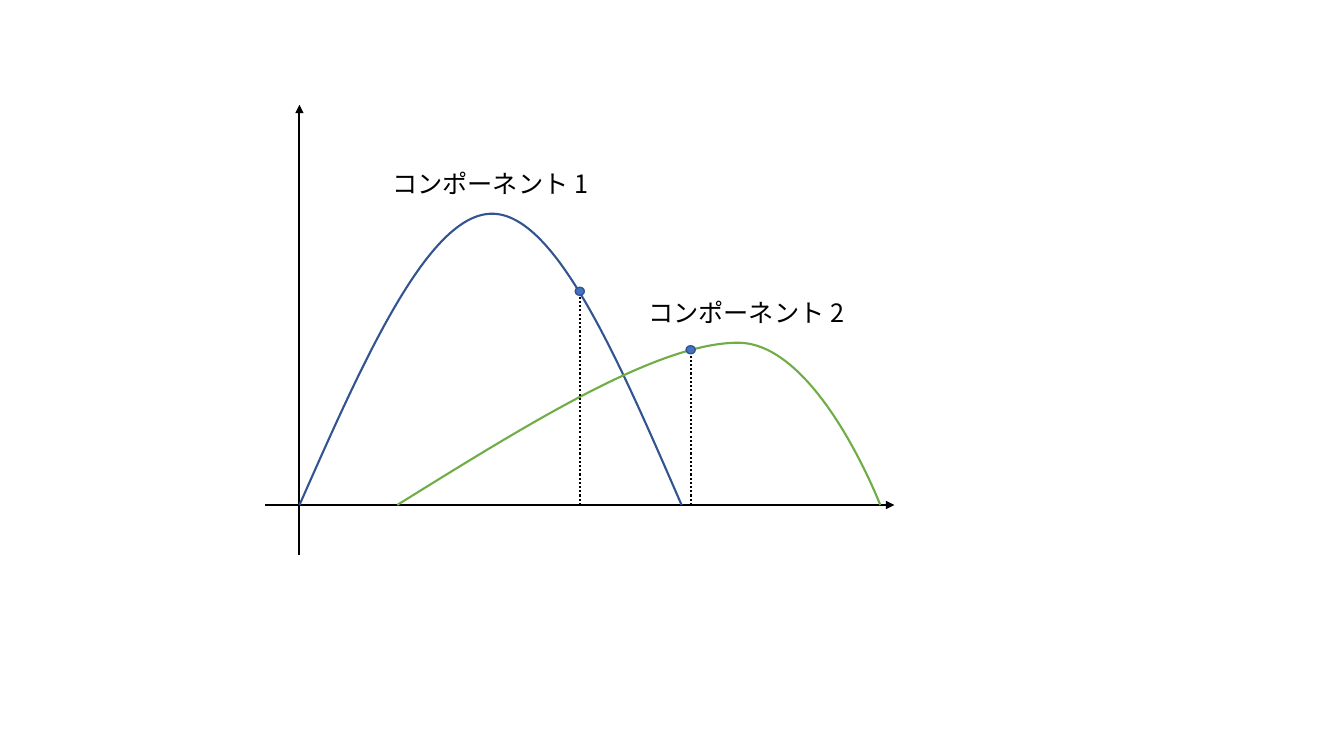
from lxml.etree import SubElement
from pptx import Presentation
from pptx.dml.color import RGBColor
from pptx.enum.dml import MSO_LINE
from pptx.enum.shapes import MSO_CONNECTOR, MSO_SHAPE
from pptx.oxml.ns import qn
from pptx.util import Inches, Pt

BLACK = RGBColor(0x00, 0x00, 0x00)
BLUE = RGBColor(0x44, 0x72, 0xC4)
NAVY = RGBColor(0x32, 0x54, 0x91)
GREEN = RGBColor(0x70, 0xAD, 0x47)
BASELINE = 5.01
ORIGIN_X = 2.97


class DiagramPage:
    font_name = "Noto Sans CJK JP"
    font_size = Pt(18)
    line_width = Pt(1.5)

    def __init__(self, deck):
        self.page = deck.slides.add_slide(deck.slide_layouts[6])

    def line(self, start, end, arrow=False, dotted=False):
        connector = self.page.shapes.add_connector(
            MSO_CONNECTOR.STRAIGHT, *map(Inches, start + end)
        )
        connector.line.color.rgb = BLACK
        connector.line.width = self.line_width
        if dotted:
            connector.line.dash_style = MSO_LINE.ROUND_DOT
        if arrow:
            SubElement(connector.line._get_or_add_ln(), qn("a:tailEnd"), type="triangle")
        SubElement(connector._element.spPr, qn("a:effectLst"))

    def curve(self, color, start, *controls):
        builder = self.page.shapes.build_freeform(*map(Inches, start))
        builder.add_line_segments(
            [tuple(map(Inches, point)) for point in controls], close=False
        )
        shape = builder.convert_to_shape()
        outline = next(shape._element.iter(qn("a:path")))
        steps = outline.findall(qn("a:lnTo"))
        for first in range(0, len(steps), 3):
            bezier = SubElement(outline, qn("a:cubicBezTo"))
            for step in steps[first:first + 3]:
                bezier.append(step[0])
                outline.remove(step)
        shape.shadow.inherit = False
        shape.fill.background()
        shape.line.color.rgb = color
        shape.line.width = self.line_width

    def label(self, text, left, top):
        box = self.page.shapes.add_textbox(
            Inches(left), Inches(top), Inches(2.27), Inches(0.4)
        )
        box.text_frame.word_wrap = True
        para = box.text_frame.paragraphs[0]
        para.text = text
        para.font.size = self.font_size
        para.font.color.rgb = BLACK
        para.font.name = self.font_name
        SubElement(para.font._element, qn("a:ea"), typeface=self.font_name)

    def dot(self, x, y, width=0.09, height=0.08):
        shape = self.page.shapes.add_shape(
            MSO_SHAPE.OVAL,
            Inches(x - width / 2),
            Inches(y - height / 2),
            Inches(width),
            Inches(height),
        )
        shape.shadow.inherit = False
        shape.fill.solid()
        shape.fill.fore_color.rgb = BLUE
        shape.line.color.rgb = NAVY
        shape.line.width = Pt(1)


def main():
    deck = Presentation()
    deck.slide_width = Inches(13.33)
    deck.slide_height = Inches(7.5)
    diagram = DiagramPage(deck)

    diagram.line((ORIGIN_X, 5.51), (ORIGIN_X, 1.04), arrow=True)
    diagram.line((2.63, BASELINE), (8.87, BASELINE), arrow=True)

    diagram.curve(
        NAVY,
        (ORIGIN_X, BASELINE),
        (3.61, 3.56), (4.25, 2.12), (4.88, 2.12),
        (5.51, 2.12), (6.13, 3.56), (6.76, BASELINE),
    )
    diagram.curve(
        GREEN,
        (3.94, BASELINE),
        (5.23, 4.21), (6.52, 3.4), (7.32, 3.4),
        (8.11, 3.4), (8.73, BASELINE), (8.73, BASELINE),
    )

    diagram.label("コンポーネント 1", 3.79, 1.62)
    diagram.label("コンポーネント 2", 6.33, 2.9)

    samples = ((5.75, 2.89), (6.85, 3.47))
    for x, y in samples:
        diagram.line((x, BASELINE), (x, y), dotted=True)
    for x, y in samples:
        diagram.dot(x, y)

    deck.save("out.pptx")


if __name__ == "__main__":
    main()
